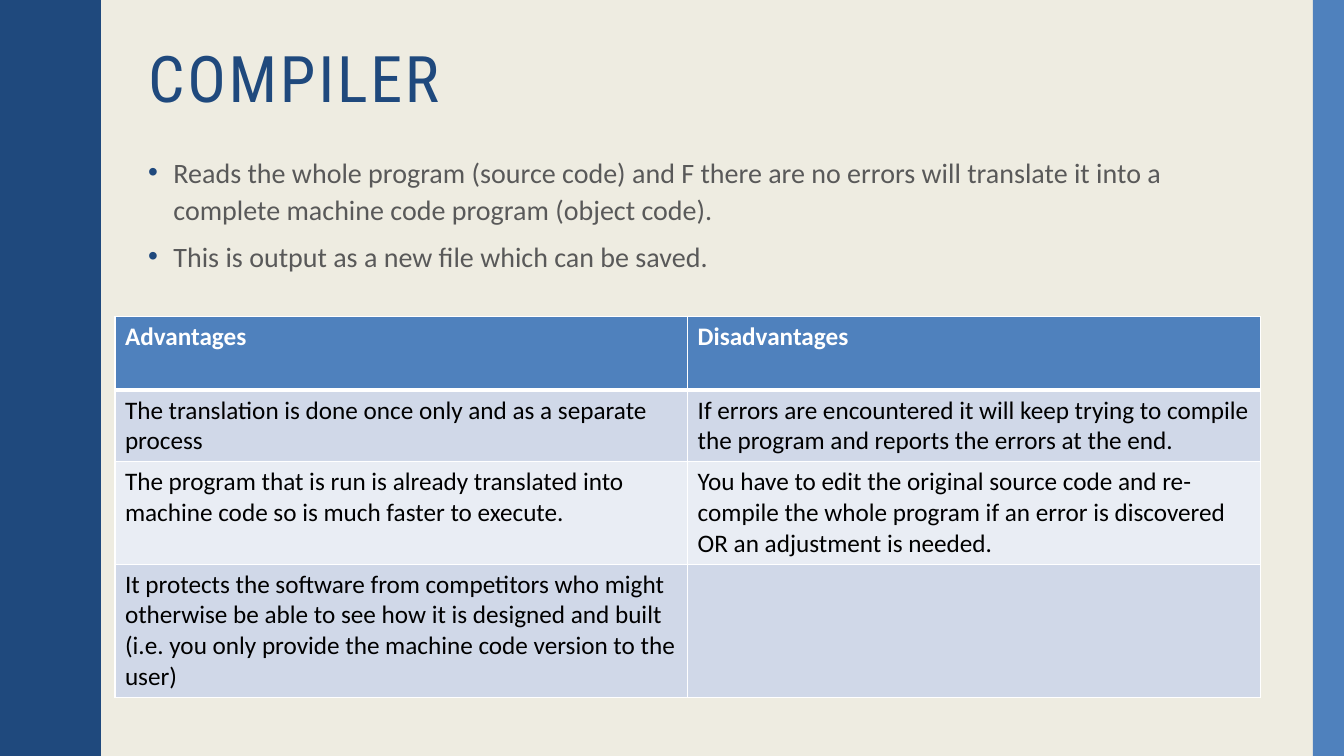
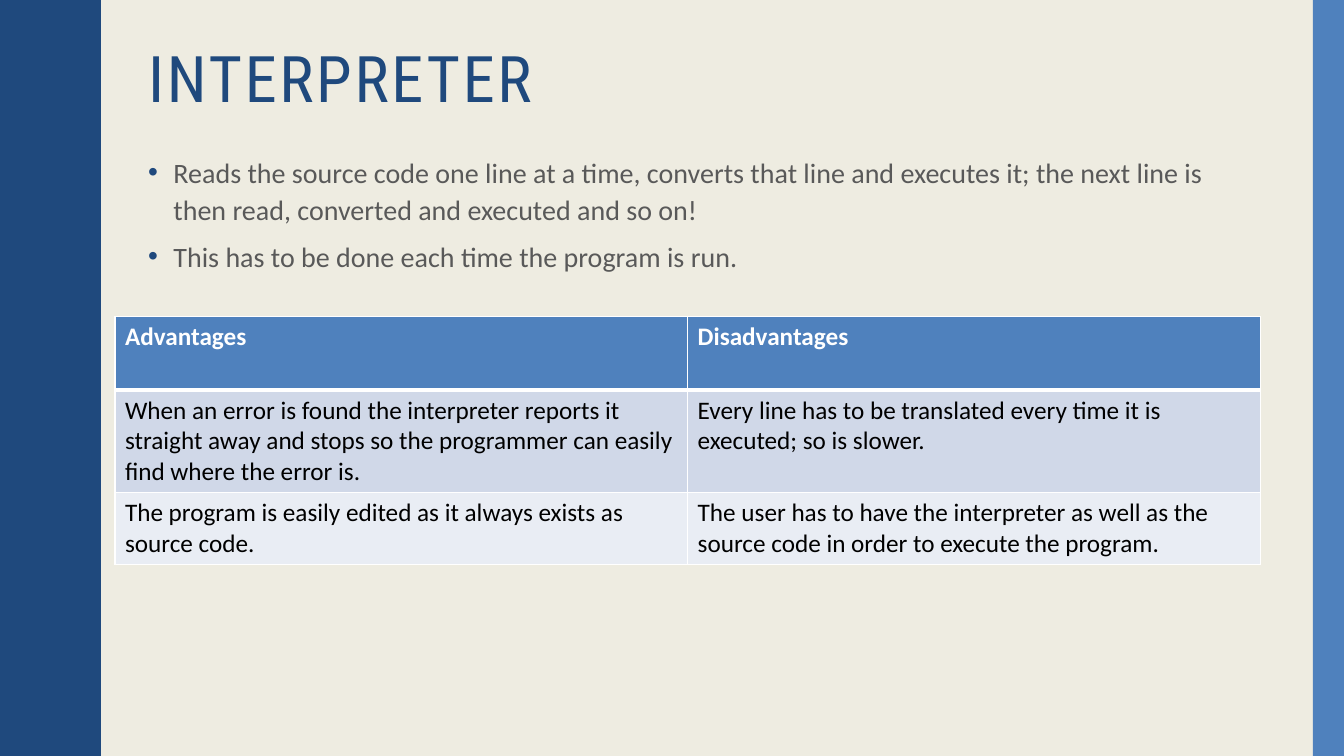
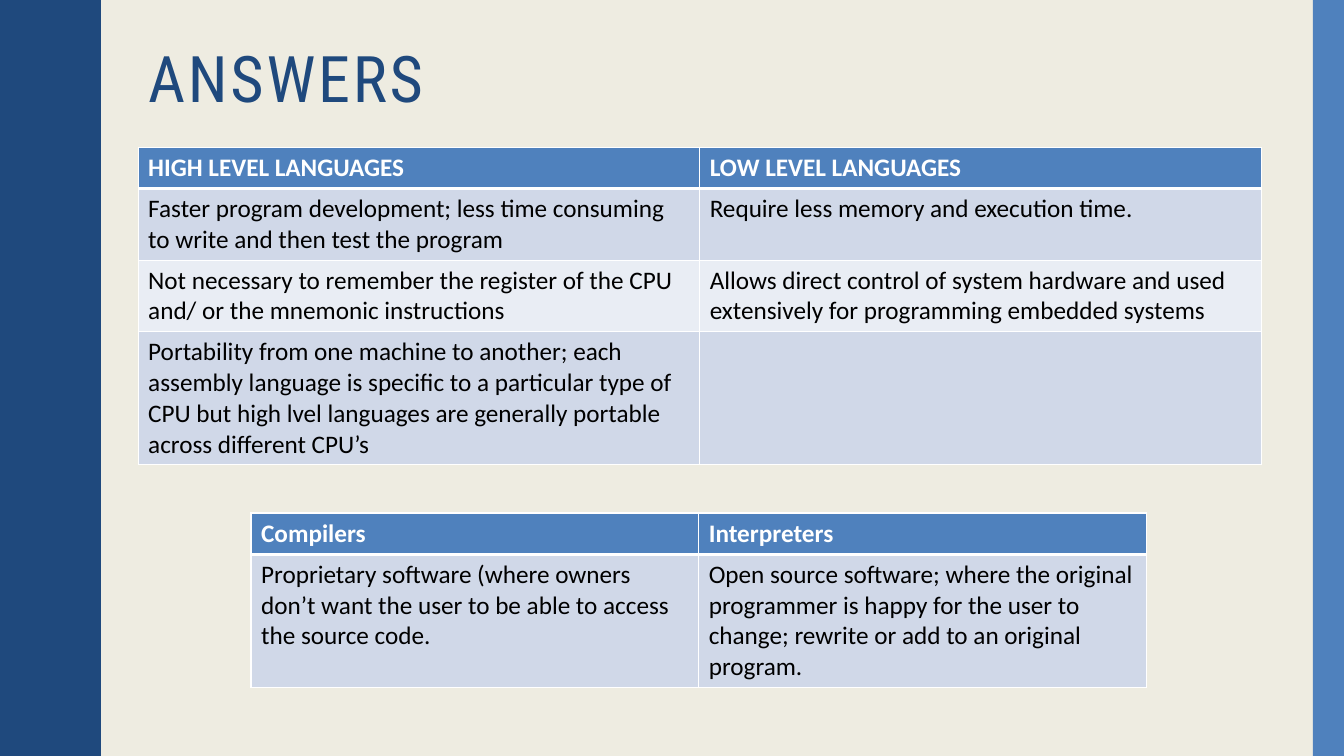
from dataclasses import dataclass

from lxml import etree
from pptx import Presentation
from pptx import util as u
from pptx.dml.color import RGBColor
from pptx.enum import text
from pptx.enum import shapes
from pptx.oxml import ns

SLIDE_W, SLIDE_H = 13.33, 7.5
LEFT, WIDTH = 1.37, 11.13
TITLE_TOP, BODY_TOP = 0.42, 1.46
HEADER_H, ROW_H = 0.73, 0.41


@dataclass(frozen=True)
class Theme:
    background: str = "EEECE1"
    navy: str = "1F497D"
    blue: str = "4F81BD"
    grey: str = "595959"
    white: str = "FFFFFF"
    black: str = "000000"
    bands: tuple = ("D0D8E8", "E9EDF4")
    title_font: str = "Roboto Condensed"
    body_font: str = "Calibri"
    title_size: float = 45.9
    body_size: float = 20
    table_size: float = 18
    thin: float = 1
    thick: float = 3


def rgb(value):
    return RGBColor.from_string(value)


def child(parent, tag, **attrs):
    return etree.SubElement(parent, ns.qn(tag), attrs)


def wave_points():
    """Outline of the left band: five waves, each a rise and its mirrored fall."""
    rise = [(0.78, 0), (0.78, 0.07), (0.79, 0.14), (0.8, 0.2), (0.81, 0.25),
            (0.83, 0.29), (0.85, 0.33), (0.87, 0.38), (0.89, 0.42),
            (0.91, 0.46), (0.93, 0.5), (0.95, 0.55), (0.96, 0.61),
            (0.97, 0.68), (0.97, 0.75)]
    period = 1.5
    wave = rise + [(x, period - y) for x, y in rise[-2::-1]]
    edge = [(x, y + n * period) for n in range(5) for x, y in wave]
    return edge + [(0, SLIDE_H)]


class Deck:
    def __init__(self, theme):
        self.theme = theme
        self.prs = Presentation()
        self.prs.slide_width = u.Inches(SLIDE_W)
        self.prs.slide_height = u.Inches(SLIDE_H)
        self.s = None
        fill = self.prs.slide_master.background.fill
        fill.solid()
        fill.fore_color.rgb = rgb(theme.background)

    def slide(self, title, bullets=()):
        first = self.s is None
        layout = self.prs.slide_layouts[1 if bullets else 5]
        self.s = self.prs.slides.add_slide(layout)
        if first:
            self.master_bands()
        self.title(title)
        if bullets:
            self.bullets(bullets)

    def master_bands(self):
        """Draw both side bands, then move them to the master for every slide."""
        builder = self.s.shapes.build_freeform(0, 0, scale=u.Inches(1))
        builder.add_line_segments(wave_points(), close=True)
        wave = builder.convert_to_shape()
        right = self.s.shapes.add_shape(
            shapes.MSO_SHAPE.RECTANGLE, u.Inches(13.02), 0,
            u.Inches(0.31), u.Inches(SLIDE_H))
        tree = self.prs.slide_master.shapes.element
        for n, (sp, color) in enumerate([(wave, self.theme.navy),
                                         (right, self.theme.blue)]):
            sp.shadow.inherit = False
            sp.fill.solid()
            sp.fill.fore_color.rgb = rgb(color)
            sp.line.fill.background()
            sp.element.nvSpPr.cNvPr.set("id", str(100 + n))
            tree.insert(2 + n, sp.element)

    def run(self, p, content, font, size, color, bold=False):
        r = p.add_run()
        r.text = content
        r.font.name = font
        r.font.size = u.Pt(size)
        r.font.bold = bold
        r.font.color.rgb = rgb(color)
        return r

    def place(self, sp, top, height):
        """Move a placeholder into the text column and return its text frame."""
        sp.left, sp.top = u.Inches(LEFT), u.Inches(top)
        sp.width, sp.height = u.Inches(WIDTH), u.Inches(height)
        tf = sp.text_frame
        tf.word_wrap = True
        tf.auto_size = text.MSO_AUTO_SIZE.NONE
        tf.vertical_anchor = text.MSO_ANCHOR.TOP
        return tf

    def title(self, content):
        t = self.theme
        p = self.place(self.s.shapes.title, TITLE_TOP, 0.67).paragraphs[0]
        p.alignment = text.PP_ALIGN.LEFT
        p.line_spacing = 0.9
        r = self.run(p, content, t.title_font, t.title_size, t.navy)
        r.font._element.set("spc", "200")

    def bullets(self, items):
        t = self.theme
        tf = self.place(self.s.placeholders[1], BODY_TOP, 4.97)
        for n, item in enumerate(items):
            p = tf.add_paragraph() if n else tf.paragraphs[0]
            p.line_spacing = 1.1
            p.space_before = u.Pt(7)
            pPr = p._p.get_or_add_pPr()
            pPr.set("marL", str(u.Inches(0.25)))
            pPr.set("indent", str(-u.Inches(0.25)))
            child(child(pPr, "a:buClr"), "a:srgbClr", val=t.navy)
            child(pPr, "a:buFont", typeface="Arial")
            child(pPr, "a:buChar", char="•")
            self.run(p, item, t.body_font, t.body_size, t.grey)

    def borders(self, cell, top, bottom):
        t = self.theme
        tcPr = cell._tc.get_or_add_tcPr()
        for side, width in zip("LRTB", (t.thin, t.thin, top, bottom)):
            ln = child(tcPr, f"a:ln{side}", w=str(u.Pt(width)))
            child(child(ln, "a:solidFill"), "a:srgbClr", val=t.white)

    def table(self, left, top, col_w, rows, header_h=ROW_H):
        """Two-column table; rows grow to fit their text."""
        t = self.theme
        height = header_h + ROW_H * (len(rows) - 1)
        table = self.s.shapes.add_table(
            len(rows), 2, u.Inches(left), u.Inches(top),
            u.Inches(2 * col_w), u.Inches(height)).table
        for col in table.columns:
            col.width = u.Inches(col_w)
        for i, row in enumerate(rows):
            header = i == 0
            table.rows[i].height = u.Inches(header_h if header else ROW_H)
            for j, content in enumerate(row):
                cell = table.cell(i, j)
                self.borders(cell, t.thick if i == 1 else t.thin,
                             t.thick if header else t.thin)
                cell.fill.solid()
                cell.fill.fore_color.rgb = rgb(
                    t.blue if header else t.bands[(i - 1) % 2])
                if content:
                    self.run(cell.text_frame.paragraphs[0], content,
                             t.body_font, t.table_size,
                             t.white if header else t.black, header)

    def pros_and_cons(self, rows):
        self.table(1.14, 3.14, 5.68,
                   [("Advantages", "Disadvantages"), *rows], HEADER_H)


def main():
    deck = Deck(Theme())

    deck.slide("COMPILER", [
        "Reads the whole program (source code) and F there are no errors will "
        "translate it into a complete machine code program (object code).",
        "This is output as a new file which can be saved.",
    ])
    deck.pros_and_cons([
        ("The translation is done once only and as a separate process",
         "If errors are encountered it will keep trying to compile the program "
         "and reports the errors at the end."),
        ("The program that is run is already translated into machine code so "
         "is much faster to execute.",
         "You have to edit the original source code and re-compile the whole "
         "program if an error is discovered OR an adjustment is needed."),
        ("It protects the software from competitors who might otherwise be "
         "able to see how it is designed and built (i.e. you only provide the "
         "machine code version to the user)", ""),
    ])

    deck.slide("INTERPRETER", [
        "Reads the source code one line at a time, converts that line and "
        "executes it; the next line is then read, converted and executed and "
        "so on!",
        "This has to be done each time the program is run.",
    ])
    deck.pros_and_cons([
        ("When an error is found the interpreter reports it straight away and "
         "stops so the programmer can easily find where the error is.",
         "Every line has to be translated every time it is executed; so is "
         "slower."),
        ("The program is easily edited as it always exists as source code.",
         "The user has to have the interpreter as well as the source code in "
         "order to execute the program."),
    ])

    deck.slide("ANSWERS")
    deck.table(LEFT, BODY_TOP, 5.57, [
        ("HIGH LEVEL LANGUAGES", "LOW LEVEL LANGUAGES"),
        ("Faster program development; less time consuming to write and then "
         "test the program",
         "Require less memory and execution time."),
        ("Not necessary to remember the register of the CPU and/ or the "
         "mnemonic instructions",
         "Allows direct control of system hardware and used extensively for "
         "programming embedded systems"),
        ("Portability from one machine to another; each assembly language is "
         "specific to a particular type of CPU but high lvel languages are "
         "generally portable across different CPU’s", ""),
    ])
    deck.table(2.49, 5.09, 4.44, [
        ("Compilers", "Interpreters"),
        ("Proprietary software (where owners don’t want the user to be able "
         "to access the source code.",
         "Open source software; where the original programmer is happy for "
         "the user to change; rewrite or add to an original program."),
    ])

    deck.prs.save("out.pptx")


if __name__ == "__main__":
    main()
